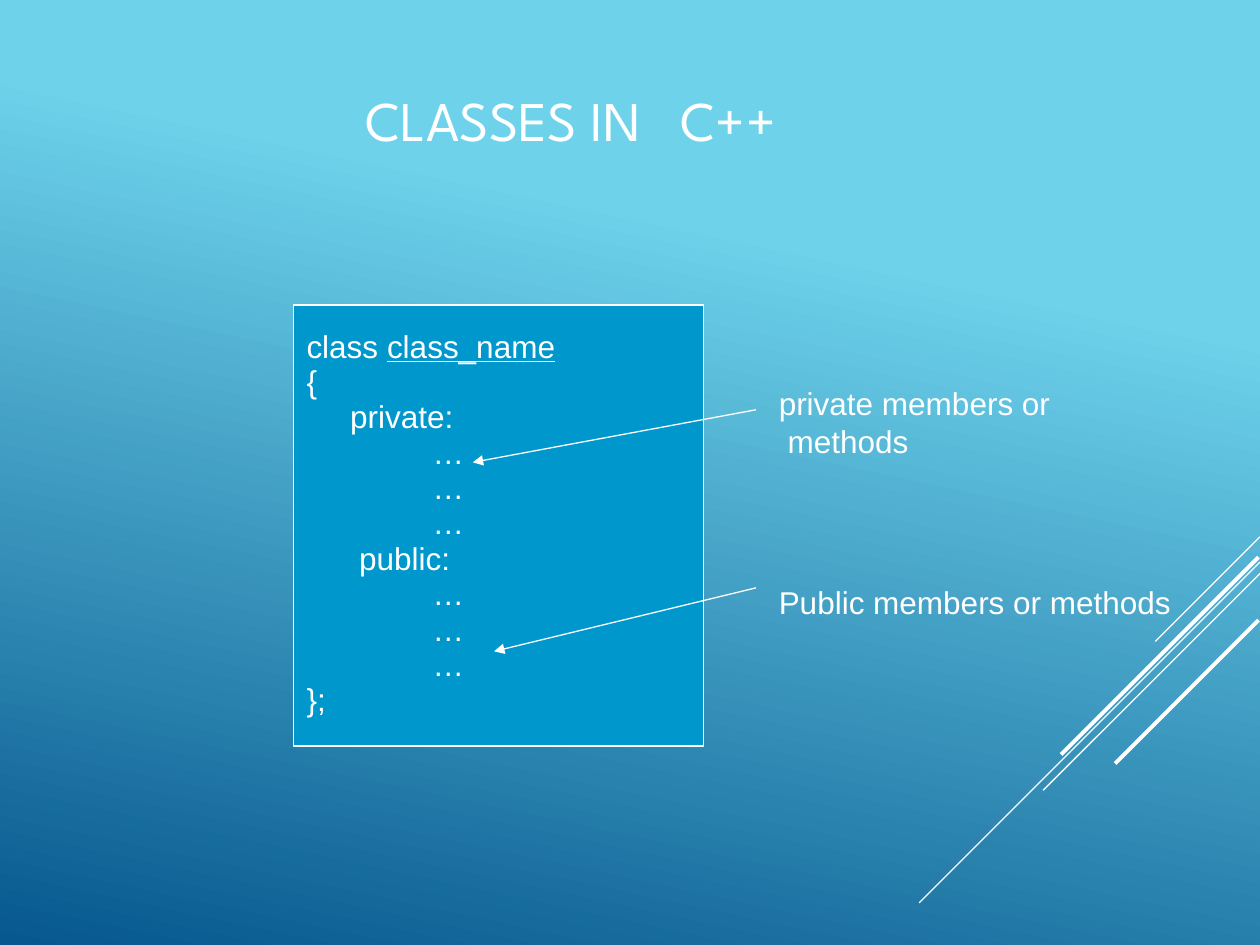
import pptx
import pptx.util
import pptx.dml.color
import pptx.enum.shapes
import pptx.enum.text
import pptx.oxml.ns
from lxml import etree

Cm = pptx.util.Cm
Pt = pptx.util.Pt
WHITE = pptx.dml.color.RGBColor(0xFF, 0xFF, 0xFF)
SKY = pptx.dml.color.RGBColor(0x6E, 0xD2, 0xEB)
NAVY = pptx.dml.color.RGBColor(0x06, 0x58, 0x8E)
BLUE = pptx.dml.color.RGBColor(0x00, 0x98, 0xCC)
BODY_FONT = "Arial"
TITLE_FONT = "League Spartan"


def add_xml(parent, tag, **attrs):
    return etree.SubElement(parent, pptx.oxml.ns.qn(tag), attrs)


def write(p, text, font=BODY_FONT, size=18, color=WHITE, underline=None,
          left=0.03, indent=0, before=0, spacing=None):
    r = p.add_run()
    r.text = text
    r.font.name = font
    r.font.size = Pt(size)
    r.font.color.rgb = color
    r.font.underline = underline
    p.alignment = pptx.enum.text.PP_ALIGN.LEFT
    p.space_before = Pt(before)
    p.line_spacing = Pt(spacing) if spacing else None
    pPr = p._p.get_or_add_pPr()
    pPr.set("marL", str(Cm(left)))
    pPr.set("indent", str(Cm(indent)))
    return r


def setup_frame(tf):
    tf.word_wrap = True
    tf.auto_size = pptx.enum.text.MSO_AUTO_SIZE.NONE
    tf.margin_left = tf.margin_right = tf.margin_bottom = 0
    tf.margin_top = Cm(0.03)


def add_text_frame(s, x, y, w, h):
    tf = s.shapes.add_textbox(Cm(x), Cm(y), Cm(w), Cm(h)).text_frame
    setup_frame(tf)
    return tf


def add_line(s, x1, y1, x2, y2, width=0.75, arrow=False):
    line = s.shapes.add_connector(pptx.enum.shapes.MSO_CONNECTOR.STRAIGHT,
                                  Cm(x1), Cm(y1), Cm(x2), Cm(y2))
    line.line.color.rgb = WHITE
    line.line.width = Pt(width)
    if arrow:
        add_xml(line.line._get_or_add_ln(), "a:tailEnd",
                type="triangle", w="med", len="med")
    add_xml(line._element.spPr, "a:effectLst")


def paint_background(s):
    fill = s.background.fill
    fill.gradient()
    fill.gradient_angle = 258
    for stop, color, position in zip(fill.gradient_stops, (SKY, NAVY), (0.28, 1)):
        stop.color.rgb = color
        stop.position = position


def add_diagonals(s, x, y, w):
    strokes = [(0, 0, 2.11, 0.75), (0, 0.51, 6.87, 0.75), (0, 0.74, 4.37, 0.75),
               (0.03, 0.41, 3.98, 2.25), (0.03, 1.68, 2.89, 2.25)]
    for inset, drop, reach, width in strokes:
        right, top = x + w - inset, y + drop
        add_line(s, right, top, right - reach, top + reach, width)


def add_title(s, x, y, w, h):
    sp = s.shapes.title
    sp.left, sp.top, sp.width, sp.height = Cm(x), Cm(y), Cm(w), Cm(h)
    tf = sp.text_frame
    setup_frame(tf)
    tf.vertical_anchor = pptx.enum.text.MSO_ANCHOR.MIDDLE
    p = tf.paragraphs[0]
    write(p, "CLASSES IN\tC++", font=TITLE_FONT, size=32, before=1)
    tabs = add_xml(p._p.get_or_add_pPr(), "a:tabLst")
    add_xml(tabs, "a:tab", pos=str(Cm(7.65)), algn="l")


def add_class_box(s, x, y, w, h):
    sp = s.shapes.add_shape(pptx.enum.shapes.MSO_SHAPE.RECTANGLE,
                            Cm(x), Cm(y), Cm(w), Cm(h))
    sp.shadow.inherit = False
    sp.fill.solid()
    sp.fill.fore_color.rgb = BLUE
    sp.line.color.rgb = WHITE
    sp.line.width = Pt(0.75)

    tf = add_text_frame(s, x + 0.23, y + 0.43, 5.08, 7.95)
    p = tf.paragraphs[0]
    write(p, "class ", before=1, spacing=20.9)
    write(p, "class_name", underline=True, before=1, spacing=20.9)
    members = [("…", 2.57)] * 3
    lines = [("{", 0.03), ("private:", 0.91), *members,
             ("public:", 1.09), *members, ("};", 0.03)]
    for text, left in lines:
        write(tf.add_paragraph(), text, left=left, spacing=20.2)


def add_callout(s, x, y, w, h, text, start, end):
    tf = add_text_frame(s, x, y, w, h)
    write(tf.paragraphs[0], text, left=0.21, indent=-0.18, before=1)
    add_line(s, x + start[0], y + start[1], x + end[0], y + end[1], arrow=True)


def main():
    prs = pptx.Presentation()
    prs.slide_width, prs.slide_height = Cm(25.4), Cm(19.05)
    s = prs.slides.add_slide(prs.slide_layouts[5])
    paint_background(s)
    add_diagonals(s, 18.54, 10.82, 6.86)
    add_title(s, 7.34, 1.42, 10.62, 1.93)
    add_class_box(s, 5.92, 6.15, 8.26, 8.89)
    add_callout(s, 15.67, 7.72, 5.54, 1.6, "private members or methods",
                (-0.43, 0.54), (-6.14, 1.6))
    add_callout(s, 15.67, 11.73, 7.98, 0.84, "Public members or methods",
                (-0.43, 0.12), (-5.71, 1.4))
    prs.save("out.pptx")


if __name__ == "__main__":
    main()
